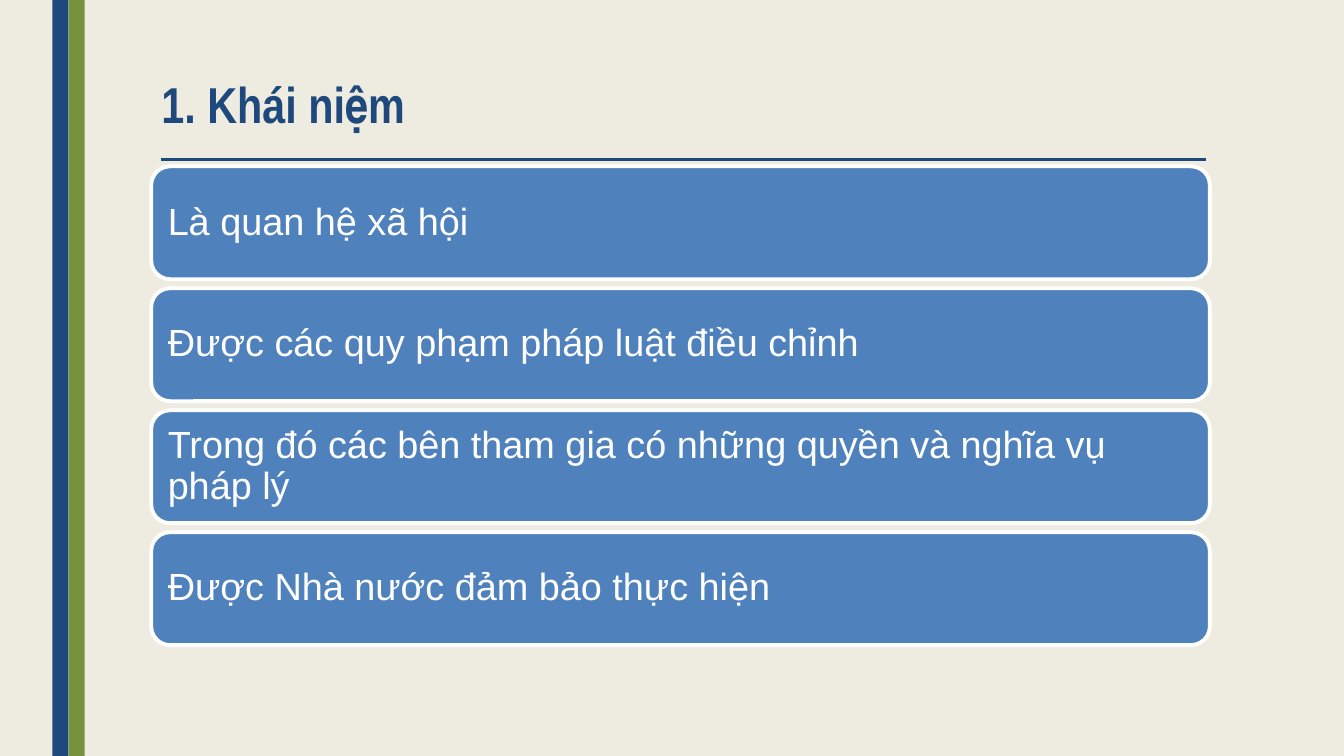
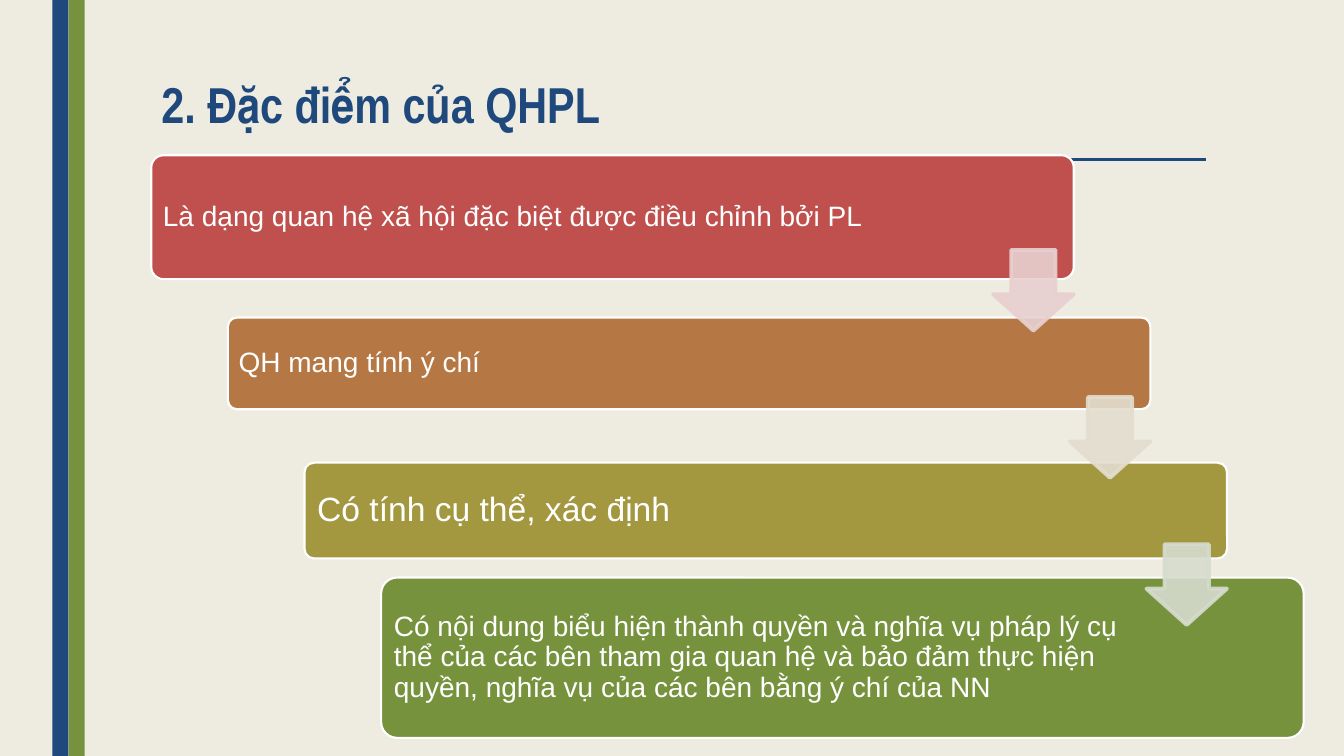
from lxml.etree import SubElement
from pptx import Presentation
from pptx.dml.color import RGBColor
from pptx.enum.shapes import MSO_CONNECTOR, MSO_SHAPE
from pptx.enum.text import MSO_ANCHOR, MSO_AUTO_SIZE, PP_ALIGN
from pptx.oxml.ns import qn
from pptx.util import Pt

EMU_PER_PX = 9144
WIDTH, HEIGHT = 1333, 750
LEFT = 150
CONTENT_WIDTH = 1050
TITLE_ONLY = 5

COLORS = {
    "paper": "EEECE1",
    "navy": "1F497D",
    "green": "76923C",
    "blue": "4F81BD",
    "red": "C0504D",
    "orange": "B57743",
    "olive": "A39840",
    "white": "FFFFFF",
    "pale_red": "E8D0D0",
    "pale_orange": "E3DDCF",
    "pale_green": "D6DCCE",
}

CONCEPTS = [
    "Là quan hệ xã hội",
    "Được các quy phạm pháp luật điều chỉnh",
    "Trong đó các bên tham gia có những quyền và nghĩa vụ pháp lý",
    "Được Nhà nước đảm bảo thực hiện",
]
CONCEPT_TOP, CONCEPT_HEIGHT, CONCEPT_PITCH = 165, 112, 121

FEATURES = [
    ("Là dạng quan hệ xã hội đặc biệt được điều chỉnh bởi PL", 154, 123, "red", 20, 8),
    ("QH mang tính ý chí", 315, 91, "orange", 20, 8),
    ("Có tính cụ thể, xác định", 459, 95, "olive", 24, 10),
    ("Có nội dung biểu hiện thành quyền và nghĩa vụ pháp lý cụ thể của các bên "
     "tham gia quan hệ và bảo đảm thực hiện quyền, nghĩa vụ của các bên bằng ý "
     "chí của NN", 573, 159, "green", 20, 8),
]
FEATURE_WIDTH, FEATURE_STEP, FEATURE_MARGIN_RIGHT = 915, 76, 165
ARROWS = ["pale_red", "pale_orange", "pale_green"]
ARROW_LEFT, ARROW_TOP, ARROW_SIZE, ARROW_DROP = 985, 248, 80, 146


def px(value):
    return value * EMU_PER_PX


def rgb(name):
    return RGBColor.from_string(COLORS[name])


def add_block(slide, kind, box, fill, line=None, line_width=0):
    shape = slide.shapes.add_shape(kind, *map(px, box))
    shape.shadow.inherit = False
    shape.fill.solid()
    shape.fill.fore_color.rgb = rgb(fill)
    if line:
        shape.line.color.rgb = rgb(line)
        shape.line.width = Pt(line_width)
    else:
        shape.line.fill.background()
    return shape


def write_text(frame, text, font_name, size, color, spacing, bold=False):
    frame.word_wrap = True
    frame.auto_size = MSO_AUTO_SIZE.NONE
    paragraph = frame.paragraphs[0]
    paragraph.alignment = PP_ALIGN.LEFT
    paragraph.line_spacing = spacing
    run = paragraph.add_run()
    run.text = text
    run.font.name = font_name
    run.font.size = Pt(size)
    run.font.bold = bold
    run.font.color.rgb = rgb(color)


def add_card(slide, box, text, fill, size, line_width, margin, margin_right):
    card = add_block(slide, MSO_SHAPE.ROUNDED_RECTANGLE, box, fill, "white", line_width)
    frame = card.text_frame
    frame.vertical_anchor = MSO_ANCHOR.MIDDLE
    frame.margin_left = frame.margin_top = frame.margin_bottom = px(margin)
    frame.margin_right = px(margin_right)
    write_text(frame, text, "Arial", size, "white", 0.9)
    return card


def add_step_arrow(slide, left, top, color):
    box = (left, top, ARROW_SIZE, ARROW_SIZE)
    arrow = add_block(slide, MSO_SHAPE.DOWN_ARROW, box, color, color, 2.75)
    arrow.adjustments[0] = 0.55
    arrow.adjustments[1] = 0.45
    for tint in arrow.element.spPr.iter(qn("a:srgbClr")):
        SubElement(tint, qn("a:alpha"), val="90000")


def add_title_rule(slide):
    rule = slide.shapes.add_connector(
        MSO_CONNECTOR.STRAIGHT, px(160), px(158), px(1196), px(158))
    rule.line.color.rgb = rgb("navy")
    rule.line.width = Pt(2.25)
    SubElement(rule.element.spPr, qn("a:effectLst"))
    return rule


def decorate_layout(layout, slide):
    fill = layout.slide_master.background.fill
    fill.solid()
    fill.fore_color.rgb = rgb("paper")
    decorations = [
        add_block(slide, MSO_SHAPE.RECTANGLE, (68, 0, 16, HEIGHT), "green"),
        add_block(slide, MSO_SHAPE.RECTANGLE, (52, 0, 16, HEIGHT), "navy"),
        add_title_rule(slide),
    ]
    for index, shape in enumerate(decorations):
        shape.element.xpath(".//p:cNvPr")[0].set("id", str(100 + index))
        layout.shapes.element.insert(2 + index, shape.element)


def set_title(slide, text):
    title = slide.shapes.title
    title.left, title.top = px(LEFT), px(75)
    title.width, title.height = px(CONTENT_WIDTH), px(79)
    title.text_frame.vertical_anchor = MSO_ANCHOR.TOP
    write_text(title.text_frame, text, "Arial Narrow", 36, "navy", 0.89, bold=True)


def build_concept(slide):
    set_title(slide, "1. Khái niệm")
    for index, text in enumerate(CONCEPTS):
        top = CONCEPT_TOP + index * CONCEPT_PITCH
        box = (LEFT, top, CONTENT_WIDTH, CONCEPT_HEIGHT)
        add_card(slide, box, text, "blue", 27, 2.75, 11, 11)


def build_features(slide):
    set_title(slide, "2. Đặc điểm của QHPL")
    for index, (text, top, height, fill, size, margin) in enumerate(FEATURES):
        box = (LEFT + index * FEATURE_STEP, top, FEATURE_WIDTH, height)
        card = add_card(slide, box, text, fill, size, 1.5, margin, FEATURE_MARGIN_RIGHT)
        card.adjustments[0] = 0.1
    for index, color in enumerate(ARROWS):
        add_step_arrow(slide, ARROW_LEFT + index * FEATURE_STEP,
                       ARROW_TOP + index * ARROW_DROP, color)


def main():
    presentation = Presentation()
    presentation.slide_width = px(WIDTH)
    presentation.slide_height = px(HEIGHT)
    layout = presentation.slide_layouts[TITLE_ONLY]
    concept = presentation.slides.add_slide(layout)
    decorate_layout(layout, concept)
    build_concept(concept)
    build_features(presentation.slides.add_slide(layout))
    presentation.save("out.pptx")


if __name__ == "__main__":
    main()
